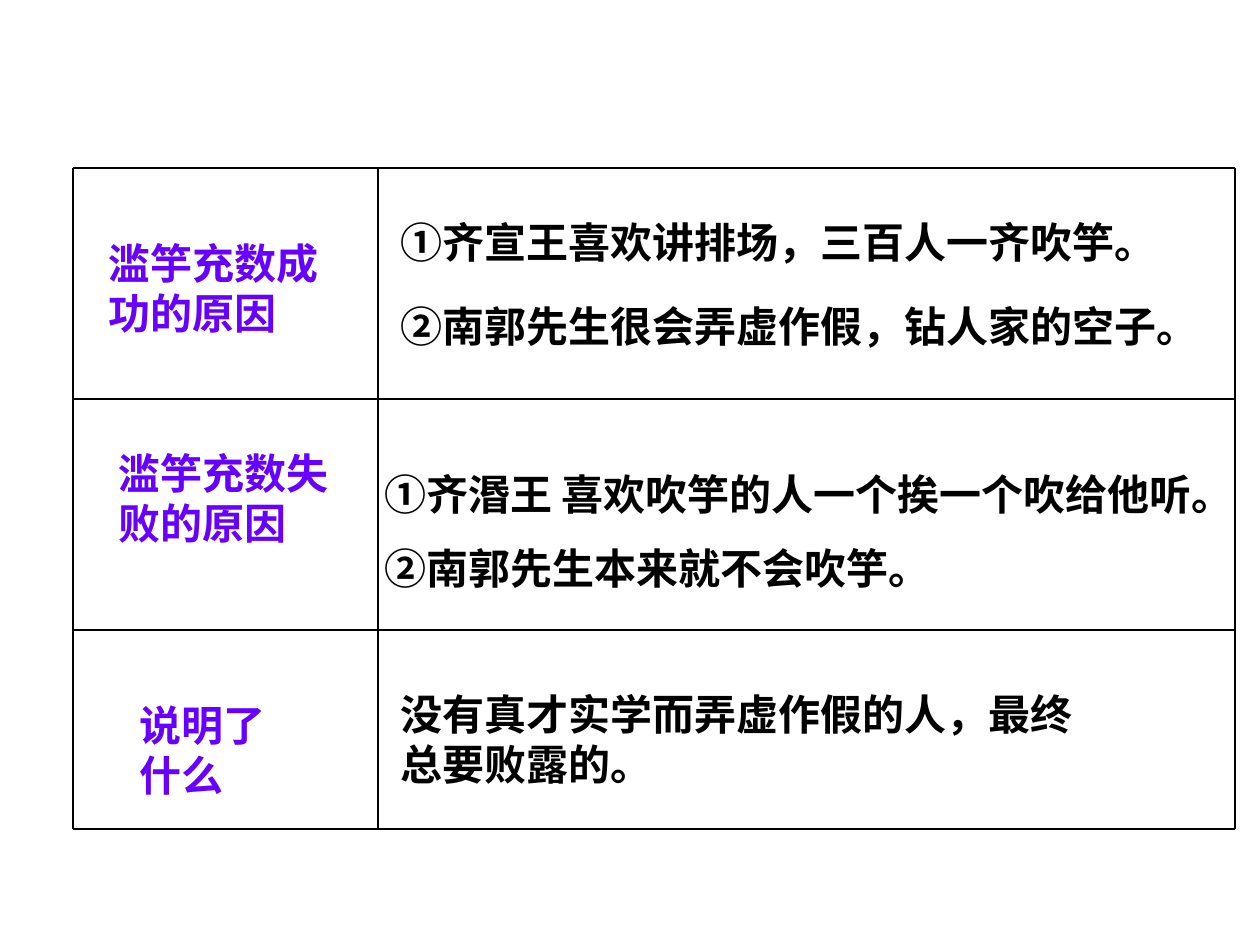
from lxml.etree import SubElement
from pptx import Presentation
from pptx.dml.color import RGBColor
from pptx.enum.shapes import MSO_CONNECTOR
from pptx.enum.text import MSO_AUTO_SIZE
from pptx.oxml.ns import qn
from pptx.util import Emu, Pt

PX_PER_INCH = 126
BLACK, PURPLE = "000000", "6600FF"
COLUMN_EDGES = (73, 378, 1235)
ROW_EDGES = (168, 399, 630, 829)
ONE_LINE, TWO_LINES = 63, 113
LABELS = (
    ("滥竽充数成功的原因", 96, 231, 261),
    ("滥竽充数失败的原因", 106, 441, 261),
    ("说明了什么", 127, 693, 174),
)
ANSWERS = (
    ("①齐宣王喜欢讲排场，三百人一齐吹竽。", 388, 210, 829, ONE_LINE),
    ("②南郭先生很会弄虚作假，钻人家的空子。", 388, 294, 798, ONE_LINE),
    ("①齐湣王 喜欢吹竽的人一个挨一个吹给他听。", 372, 462, 914, ONE_LINE),
    ("②南郭先生本来就不会吹竽。", 372, 536, 662, ONE_LINE),
    ("没有真才实学而弄虚作假的人，最终总要败露的。", 388, 682, 725, TWO_LINES),
)


def px(n):
    """Turn pixels into EMU."""
    return Emu(round(n * 914400 / PX_PER_INCH))


def color(value):
    """Turn a hex string into a colour."""
    return RGBColor.from_string(value)


def add_rule(s, x1, y1, x2, y2):
    """Draw one thin grid line without a shadow."""
    line = s.shapes.add_connector(MSO_CONNECTOR.STRAIGHT, px(x1), px(y1), px(x2), px(y2))
    line.line.width = Pt(0.75)
    line.line.color.rgb = color(BLACK)
    SubElement(line._element.spPr, qn("a:effectLst"))


def add_grid(s, xs, ys):
    """Draw the lines along all row and column edges."""
    for y in ys:
        add_rule(s, xs[0], y, xs[-1], y)
    for x in xs:
        add_rule(s, x, ys[0], x, ys[-1])


def add_text(s, text, x, y, w, h, ink):
    """Add a wrapping box of bold text."""
    tf = s.shapes.add_textbox(px(x), px(y), px(w), px(h)).text_frame
    for name, value in {"word_wrap": True, "auto_size": MSO_AUTO_SIZE.SHAPE_TO_FIT_TEXT}.items():
        setattr(tf, name, value)
    r = tf.paragraphs[0].add_run()
    r.text = text
    for name, value in {"name": "Times New Roman", "size": Pt(24), "bold": True}.items():
        setattr(r.font, name, value)
    r.font.color.rgb = color(ink)


def main():
    """Build and save the slide."""
    prs = Presentation()
    prs.slide_width, prs.slide_height = px(1260), px(945)
    s = prs.slides.add_slide(prs.slide_layouts[6])
    add_grid(s, COLUMN_EDGES, ROW_EDGES)
    for label in LABELS:
        add_text(s, *label, TWO_LINES, PURPLE)
    for answer in ANSWERS:
        add_text(s, *answer, BLACK)
    prs.save("out.pptx")


if __name__ == "__main__":
    main()
